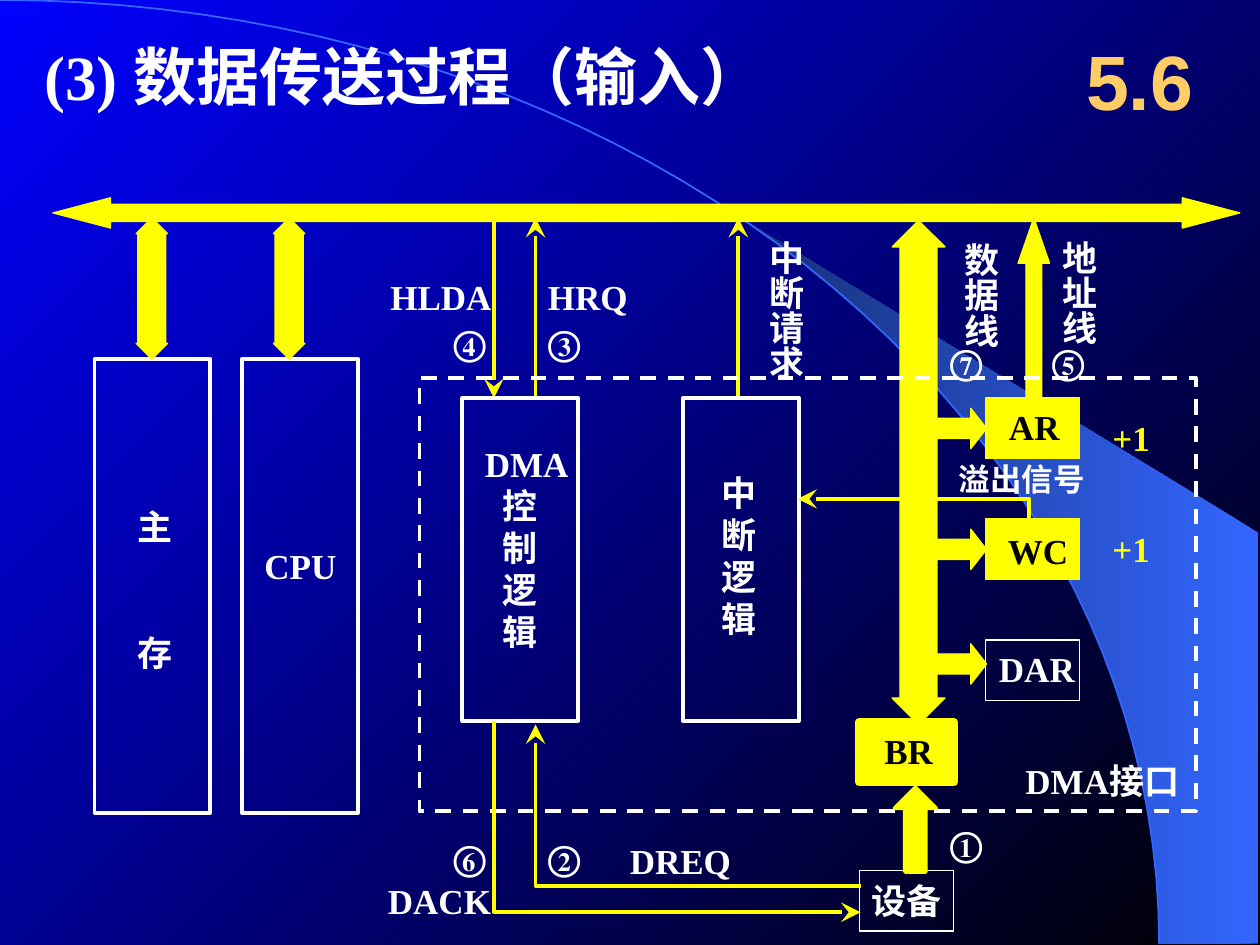
from dataclasses import dataclass
from math import cos, radians, sin

from pptx import Presentation
from pptx.dml.color import RGBColor
from pptx.enum.dml import MSO_LINE
from pptx.enum.shapes import MSO_CONNECTOR, MSO_SHAPE
from pptx.enum.text import MSO_ANCHOR, MSO_AUTO_SIZE, PP_ALIGN
from pptx.oxml.ns import qn
from pptx.oxml.xmlchemy import OxmlElement
from pptx.util import Inches, Pt

RECTANGLE = MSO_SHAPE.RECTANGLE
UP_ARROW = MSO_SHAPE.UP_ARROW
RIGHT_ARROW = MSO_SHAPE.RIGHT_ARROW
UP_DOWN_ARROW = MSO_SHAPE.UP_DOWN_ARROW
LEFT_RIGHT_ARROW = MSO_SHAPE.LEFT_RIGHT_ARROW
STRAIGHT = MSO_CONNECTOR.STRAIGHT
DASH = MSO_LINE.DASH
TOP, MIDDLE = MSO_ANCHOR.TOP, MSO_ANCHOR.MIDDLE
LEFT, CENTER = PP_ALIGN.LEFT, PP_ALIGN.CENTER
NO_AUTOFIT = MSO_AUTO_SIZE.NONE


@dataclass(frozen=True)
class Theme:
    white: str = "FFFFFF"
    black: str = "000000"
    yellow: str = "FFFF00"
    gold: str = "FFCC66"
    blue: str = "0000FF"
    arc: str = "3366FF"
    arc_dark: str = "172F75"
    serif: str = "Times New Roman"
    sans: str = "Arial"
    title_size: int = 36
    section_size: int = 44
    label_size: int = 20
    note_size: int = 18
    line: float = 2.25
    thin: float = 0.75


THEME = Theme()


def set_attributes(target, values):
    for name, value in values.items():
        setattr(target, name, value)


def color_gradient(fill, first, last, angle):
    fill.gradient()
    fill.gradient_angle = angle
    for stop, color in zip(fill.gradient_stops, (first, last)):
        stop.color.rgb = RGBColor.from_string(color)


def write_text(shape, lines, size=THEME.label_size, color=THEME.white,
               font=THEME.serif, anchor=TOP, align=LEFT, vertical=False):
    frame = shape.text_frame
    side, end = (0.05, 0.1) if vertical else (0.1, 0.05)
    set_attributes(frame, {
        "text": "\n".join(lines), "word_wrap": False, "auto_size": NO_AUTOFIT,
        "vertical_anchor": anchor, "margin_left": Inches(side), "margin_right": Inches(side),
        "margin_top": Inches(end), "margin_bottom": Inches(end)})
    if vertical:
        frame._txBody.bodyPr.set("vert", "eaVert")
    for paragraph in frame.paragraphs:
        paragraph.alignment = align
        for run in paragraph.runs:
            set_attributes(run.font, {"name": font, "size": Pt(size), "bold": True})
            run.font.color.rgb = RGBColor.from_string(color)
    return frame


@dataclass
class Region:
    slide: object
    left: float
    top: float
    width: float
    height: float

    def point(self, x, y):
        return Inches(self.left + x), Inches(self.top + y)

    def block(self, kind, x, y, width, height, fill=None, line=THEME.white,
              weight=THEME.line, adjust=()):
        shape = self.slide.shapes.add_shape(
            kind, *self.point(x, y), Inches(width), Inches(height))
        shape.shadow.inherit = False
        for index, value in enumerate(adjust):
            shape.adjustments[index] = value
        if fill:
            shape.fill.solid()
            shape.fill.fore_color.rgb = RGBColor.from_string(fill)
        else:
            shape.fill.background()
        shape.line.color.rgb = RGBColor.from_string(line)
        shape.line.width = Pt(weight)
        return shape

    def arrow(self, kind, x, y, width, height, adjust, weight=THEME.thin):
        return self.block(kind, x, y, width, height, THEME.yellow, THEME.yellow, weight, adjust)

    def label(self, x, y, width, height, *lines, **style):
        box = self.slide.shapes.add_textbox(
            *self.point(x, y), Inches(width), Inches(height))
        return write_text(box, lines, **style)

    def outline(self, points, close):
        start, *rest = [self.point(*point) for point in points]
        builder = self.slide.shapes.build_freeform(*start)
        builder.add_line_segments(rest, close=close)
        shape = builder.convert_to_shape()
        shape.shadow.inherit = False
        return shape

    def wire(self, *points):
        if len(points) == 2:
            start, end = [self.point(*point) for point in points]
            shape = self.slide.shapes.add_connector(STRAIGHT, *start, *end)
        else:
            shape = self.outline(points, close=False)
            shape.fill.background()
        shape.line.color.rgb = RGBColor.from_string(THEME.yellow)
        shape.line.width = Pt(THEME.line)
        properties = shape.element.spPr
        head = OxmlElement("a:tailEnd")
        for name, value in {"type": "stealth", "w": "lg", "len": "lg"}.items():
            head.set(name, value)
        properties.find(qn("a:ln")).append(head)
        if len(points) == 2:
            properties.append(OxmlElement("a:effectLst"))


def draw_backdrop(region):
    color_gradient(region.slide.background.fill, THEME.black, THEME.blue, 135)
    radius_x, radius_y = 9.2, region.height
    curve = [(radius_x * sin(radians(angle)), radius_y * (1 - cos(radians(angle))))
             for angle in range(0, 91, 2)]
    corner = [(region.width, region.height), (region.width, 4.23)]
    sweep = region.outline(curve[20:] + corner, close=True)
    color_gradient(sweep.fill, THEME.arc, THEME.arc_dark, 180)
    sweep.line.fill.background()
    arc = region.outline(curve, close=False)
    arc.fill.background()
    arc.line.color.rgb = RGBColor.from_string(THEME.arc)
    arc.line.width = Pt(1)


def draw_heading(region):
    title = region.slide.shapes.title
    left, top = region.point(0, 0.08)
    set_attributes(title, {"left": left, "top": top,
                           "width": Inches(6.83), "height": Inches(0.7)})
    write_text(title, ["(3) 数据传送过程（输入）"], size=THEME.title_size)
    title.element.getparent().append(title.element)
    region.label(region.width - 1.25, 0, 1.25, region.height, "5.6", size=THEME.section_size,
                 color=THEME.gold, font=THEME.sans, anchor=MIDDLE, align=CENTER)


def draw_bus(region):
    region.arrow(LEFT_RIGHT_ARROW, 0, 0, region.width, region.height, (0.568, 1.9))


def draw_host(region):
    unit_width, unit_top = 0.92, 1.12
    for unit_left, arrow_left in ((0, 0.33), (region.width - unit_width, 1.42)):
        region.block(RECTANGLE, unit_left, unit_top, unit_width, region.height - unit_top)
        region.arrow(UP_DOWN_ARROW, arrow_left, 0, 0.25, unit_top, (0.5, 0.892))
    memory = region.label(0.24, 2.23, 0.48, 1.44, "主", "存")
    memory.paragraphs[1].space_before = Pt(48)
    region.label(1.25, 2.54, 0.77, 0.44, "CPU")


def draw_bus_signals(region):
    bottom = region.height
    region.wire((0.92, 0), (0.92, bottom))
    for x in (1.25, 2.86):
        region.wire((x, bottom), (x, 0))
    region.arrow(UP_DOWN_ARROW, 4.08, 0.02, 0.42, 4, (0.383, 0.696))
    region.arrow(UP_ARROW, 5.08, 0, 0.25, bottom, (0.5, 1.439))
    for x, width, name in ((0, 1, "HLDA"), (1.25, 0.83, "HRQ")):
        region.label(x, 0.41, width, 0.44, name)
    for x, y, height, name in ((2.92, 0.08, 1.22, "中断请求"), (4.47, 0.1, 0.94, "数据线"),
                               (5.25, 0.08, 0.94, "地址线")):
        region.label(x, y, 0.53, height, name, vertical=True)
    for x, y, step in ((0.5, 0.77, "④"), (1.25, 0.77, "③"), (4.44, 0.92, "⑦"), (5.25, 0.92, "⑤")):
        region.label(x, y, 0.48, 0.44, step)


def draw_interface(region):
    frame = region.block(RECTANGLE, 0, 0, region.width, region.height)
    frame.line.dash_style = DASH
    for x in (0.34, 2.09):
        region.block(RECTANGLE, x, 0.16, 0.92, 2.56)
    controller = region.label(0.42, 0.46, 0.86, 1.77, "DMA", *"控制逻辑")
    for paragraph in controller.paragraphs[1:]:
        paragraph._p.get_or_add_pPr().set("marL", str(Inches(0.14)))
    region.label(2.3, 0.69, 0.48, 1.44, *"中断逻辑")
    region.wire((4.84, 1.12), (4.84, 0.96), (3, 0.96))
    region.label(4.18, 0.6, 1.2, 0.4, "溢出信号", size=THEME.note_size)
    for y, arrow_y, x, text_y, name, active in (
            (0.16, 0.24, 4.58, 0.17, "AR", True), (1.12, 1.2, 4.57, 1.15, "WC", True),
            (2.08, 2.11, 4.5, 2.09, "DAR", False)):
        fill, line, ink = ((THEME.yellow, THEME.yellow, THEME.black) if active
                           else (None, THEME.white, THEME.white))
        region.arrow(RIGHT_ARROW, 4, arrow_y, 0.5, 0.32, (0.5, 0.391))
        region.block(RECTANGLE, 4.49, y, 0.75, 0.48, fill, line, THEME.thin)
        region.label(x, text_y, 0.8, 0.44, name, color=ink)
    for y in (0.26, 1.14):
        region.label(5.4, y, 0.5, 0.44, "+1", color=THEME.yellow)
    region.label(4.71, 2.98, 1.49, 0.44, "DMA接口")


def draw_device(region):
    region.block(RECTANGLE, 3.84, 1.19, 0.75, 0.48, weight=THEME.thin)
    region.label(3.84, 1.21, 0.75, 0.44, "设备")
    region.wire((3.85, 1.31), (1.27, 1.31), (1.27, 0.03))
    region.wire((0.94, 0), (0.94, 1.52), (3.85, 1.52))
    region.arrow(UP_ARROW, 4.12, 0.53, 0.33, 0.67, (0.5, 0.5), THEME.line)
    region.block(RECTANGLE, 3.84, 0.01, 0.75, 0.48, THEME.yellow, THEME.yellow, 4.5)
    region.label(3.94, 0.02, 0.58, 0.44, "BR", color=THEME.black)
    for x, y, width, name in ((1.92, 0.89, 1, "DREQ"), (0, 1.21, 1.02, "DACK"),
                              (0.52, 0.87, 0.48, "⑥"), (1.27, 0.87, 0.48, "②"),
                              (4.46, 0.76, 0.48, "①")):
        region.label(x, y, width, 0.44, name)


def main():
    presentation = Presentation()
    presentation.slide_width, presentation.slide_height = Inches(10), Inches(7.5)
    slide = presentation.slides.add_slide(presentation.slide_layouts[5])
    draw_backdrop(Region(slide, 0, 0, 9.99, 7.49))
    draw_heading(Region(slide, 0.25, 0.17, 9.42, 0.92))
    draw_bus(Region(slide, 0.42, 1.57, 9.42, 0.24))
    draw_host(Region(slide, 0.75, 1.73, 2.09, 4.72))
    draw_bus_signals(Region(slide, 3, 1.73, 5.78, 1.43))
    draw_interface(Region(slide, 3.33, 3, 6.16, 3.44))
    draw_device(Region(slide, 2.98, 5.72, 4.94, 1.67))
    presentation.save("out.pptx")


if __name__ == "__main__":
    main()
